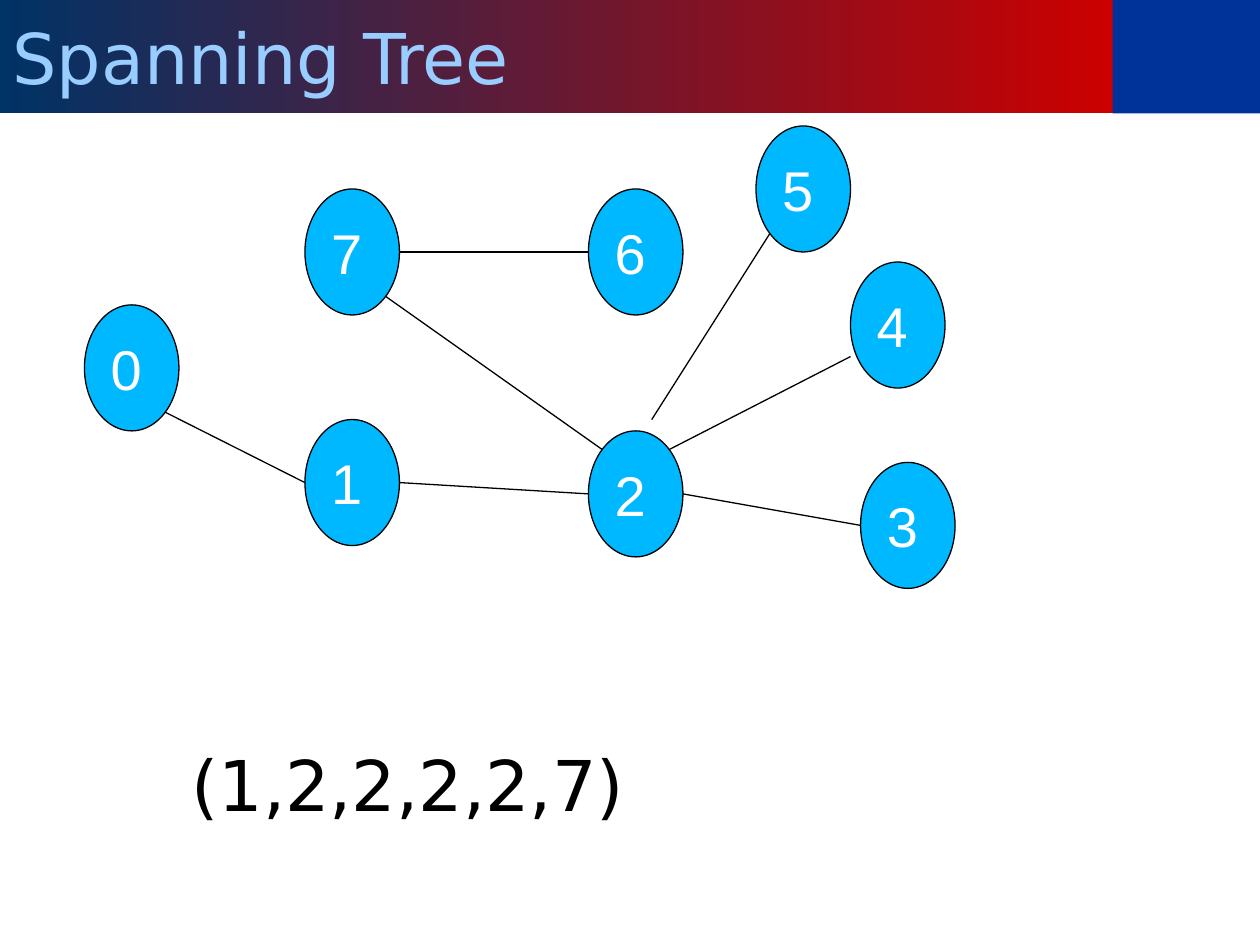
from lxml import etree
from pptx import Presentation
from pptx.dml.color import RGBColor
from pptx.enum.shapes import MSO_CONNECTOR, MSO_SHAPE
from pptx.enum.text import MSO_ANCHOR, PP_ALIGN
from pptx.oxml.ns import qn
from pptx.util import Inches, Pt

OVAL, RECTANGLE = MSO_SHAPE.OVAL, MSO_SHAPE.RECTANGLE
STRAIGHT = MSO_CONNECTOR.STRAIGHT
LEFT, MIDDLE = PP_ALIGN.LEFT, MSO_ANCHOR.MIDDLE
TITLE_ONLY = 5

COLORS = {
    "navy": "003366",
    "red": "CC0000",
    "blue": "003399",
    "title": "99CCFF",
    "node": "00B8FF",
    "white": "FFFFFF",
    "black": "000000",
}
NODE_WIDTH, NODE_HEIGHT = 0.75, 1
NODES = {
    "2": (4.67, 3.42),
    "6": (4.67, 1.5),
    "1": (2.42, 3.33),
    "7": (2.42, 1.5),
    "0": (0.67, 2.42),
    "5": (6, 1),
    "3": (6.83, 3.67),
    "4": (6.75, 2.08),
}
# Attachment points as fractions of a node's width and height
SITES = {
    "left": (0, 0.5),
    "right": (1, 0.5),
    "top left": (0.15, 0.15),
    "top right": (0.85, 0.15),
    "bottom left": (0.15, 0.85),
    "bottom right": (0.85, 0.85),
    "above": (0.67, -0.09),
    "lower left": (0, 0.75),
}
EDGES = [
    ("0", "bottom right", "1", "left"),
    ("7", "right", "6", "left"),
    ("1", "right", "2", "left"),
    ("7", "bottom right", "2", "top left"),
    ("2", "above", "5", "bottom left"),
    ("2", "top right", "4", "lower left"),
    ("2", "right", "3", "left"),
]


def rgb(name):
    """Return the named colour."""
    return RGBColor.from_string(COLORS[name])


def write_text(shape, text, size=40, font="DejaVu Sans", color="black"):
    """Write one left-aligned, vertically centred paragraph."""
    frame = shape.text_frame
    frame.word_wrap = True
    frame.vertical_anchor = MIDDLE
    paragraph = frame.paragraphs[0]
    paragraph.alignment = LEFT
    run = paragraph.add_run()
    run.text = text
    run.font.size = Pt(size)
    run.font.name = font
    run.font.color.rgb = rgb(color)


def add_filled_shape(slide, kind, box, fill, line=None):
    """Add a flat shape with an optional thin outline."""
    shape = slide.shapes.add_shape(kind, *map(Inches, box))
    shape.shadow.inherit = False
    shape.fill.solid()
    shape.fill.fore_color.rgb = rgb(fill)
    if line:
        shape.line.color.rgb = rgb(line)
        shape.line.width = Pt(0.75)
    else:
        shape.line.fill.background()
    return shape


def add_header(slide, left, top, width, height):
    """Build the gradient title bar and the block at its right end."""
    block_width = 1.17
    block_left = left + width - block_width
    add_filled_shape(slide, RECTANGLE, (block_left, top, block_width, height), "blue")
    title = slide.shapes.title
    title.left, title.top = Inches(left), Inches(top)
    title.width, title.height = Inches(width - block_width + 0.01), Inches(height)
    title.fill.gradient()
    title.fill.gradient_angle = 0
    for stop, color in zip(title.fill.gradient_stops, ("navy", "red")):
        stop.color.rgb = rgb(color)
    write_text(title, "Spanning Tree", color="title")


def add_tree(slide, left, top):
    """Draw the numbered nodes and the edges between their sites."""
    def site_point(node, site):
        """Return the slide position of a node's attachment point."""
        (node_left, node_top), (across, down) = NODES[node], SITES[site]
        return (Inches(left + node_left + across * NODE_WIDTH),
                Inches(top + node_top + down * NODE_HEIGHT))

    for label, (node_left, node_top) in NODES.items():
        box = (left + node_left, top + node_top, NODE_WIDTH, NODE_HEIGHT)
        node = add_filled_shape(slide, OVAL, box, "node", line="black")
        write_text(node, label, size=32, font="Arial", color="white")
    for start, start_site, end, end_site in EDGES:
        edge = slide.shapes.add_connector(
            STRAIGHT, *site_point(start, start_site), *site_point(end, end_site))
        edge.line.color.rgb = rgb("black")
        edge.line.width = Pt(0.75)
        etree.SubElement(edge.line._get_or_add_ln().getparent(), qn("a:effectLst"))


def add_code(slide, left, top, width, height):
    """Write the sequence that encodes the tree."""
    box = slide.shapes.add_textbox(*map(Inches, (left, top, width, height)))
    write_text(box, "(1,2,2,2,2,7)")


presentation = Presentation()
presentation.slide_width, presentation.slide_height = Inches(10), Inches(7.5)
slide = presentation.slides.add_slide(presentation.slide_layouts[TITLE_ONLY])
add_header(slide, 0, 0, 10, 0.9)
add_tree(slide, 0, 0)
add_code(slide, 1.42, 5.83, 4.08, 0.77)
presentation.save("out.pptx")
